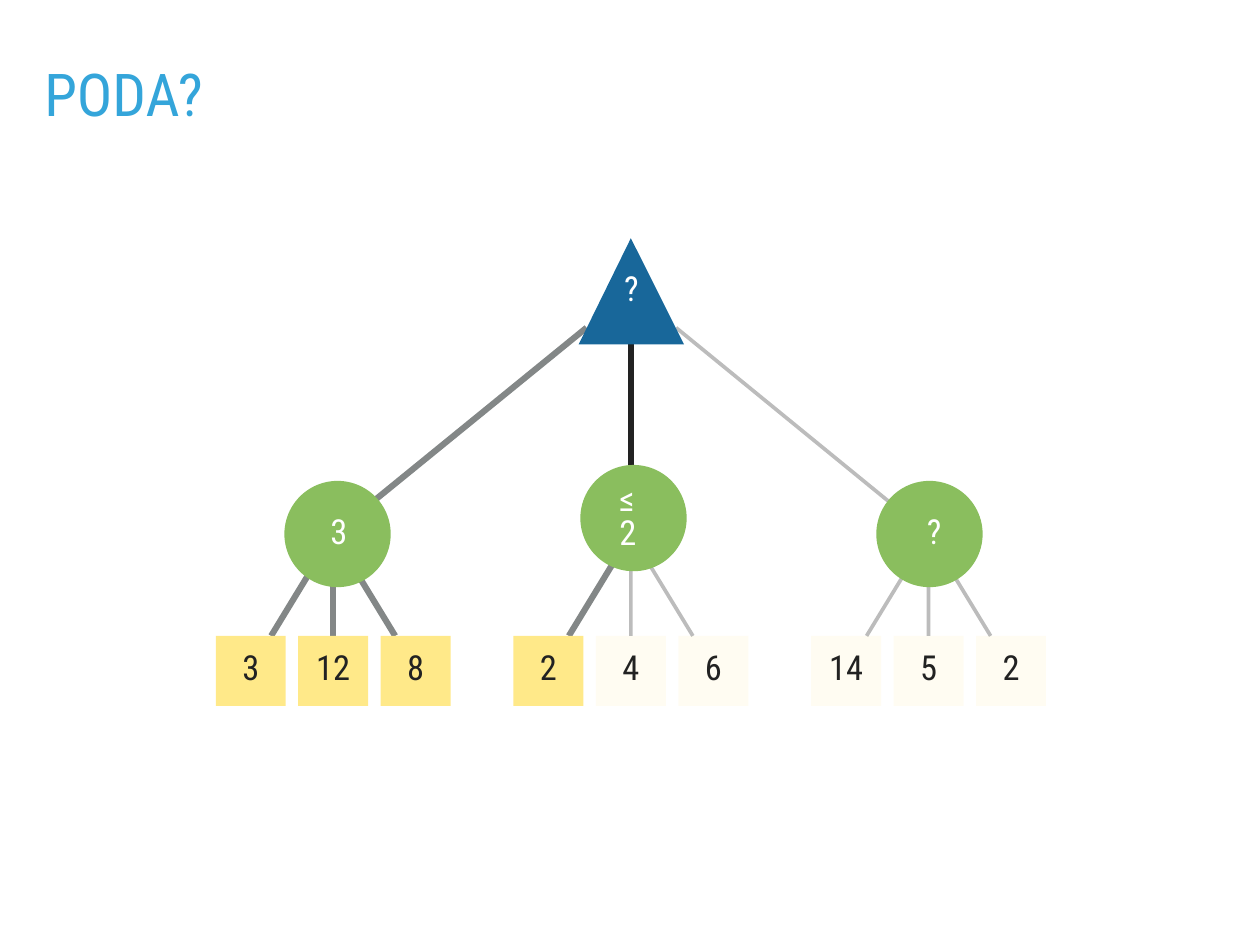
"""Build the slide with a game tree that is partly pruned."""
from pptx import Presentation
from pptx.dml.color import RGBColor as RGB
from pptx.enum.shapes import MSO_CONNECTOR as LINK, MSO_SHAPE as KIND
from pptx.enum.text import MSO_ANCHOR as ANCHOR, PP_ALIGN as ALIGN
from pptx.oxml.ns import qn
from pptx.util import Inches as In, Pt
from lxml.etree import SubElement as Sub

INK, GREY, WHITE = "222222", "838787", "FFFFFF"
BLUE, SKY, GREEN, GOLD = "18679A", "34A5DA", "8ABE5E", "FFE989"
STRONG, DONE, FAINT = (INK, 5, 100), (GREY, 5, 100), (INK, 3, 30)


def paint(fill, tone, alpha=100):
    fill.solid()
    fill.fore_color.rgb = RGB.from_string(tone)
    if alpha < 100:
        tint = fill._xPr.find(qn("a:solidFill"))[0]
        Sub(tint, qn("a:alpha"), val=str(alpha * 1000))


def write(shape, text, tone, size=28, align=ALIGN.CENTER, anchor=ANCHOR.MIDDLE):
    frame = shape.text_frame
    pad = In(0.06)
    form = {"word_wrap": True, "vertical_anchor": anchor, "margin_left": pad,
            "margin_right": pad, "margin_top": pad, "margin_bottom": pad}
    for name, value in form.items():
        setattr(frame, name, value)
    para = frame.paragraphs[0]
    para.alignment, para.line_spacing = align, 0.8
    run = para.add_run()
    run.text = text
    for name, value in {"name": "Roboto Condensed", "size": Pt(size)}.items():
        setattr(run.font, name, value)
    paint(run.font.fill, tone)


deck = Presentation()
deck.slide_width, deck.slide_height = In(14.22), In(10.67)
slide = deck.slides.add_slide(deck.slide_layouts[6])
shapes = slide.shapes

title = shapes.add_textbox(In(0.44), In(0.74), In(13.33), In(0.79))
write(title, "PODA?", SKY, 48, ALIGN.LEFT, ANCHOR.TOP)

first, pitch, hub, row = 3.76, 3.36, 6.03, 7.18
ball, box, step, fan = 1.2, 0.79, 0.93, 0.7

tree = [
    ("3", 5.43, 3.67, 0.27, DONE, (6.62, 3.7), ["3", "12", "8"], [DONE] * 3),
    ("≤2", 5.25, 6.93, 0.43, STRONG, (7.12, 3.89), ["2", "4", "6"], [DONE, FAINT, FAINT]),
    ("?", 5.43, 10.4, 0.27, FAINT, (7.63, 3.7), ["14", "5", "2"], [FAINT] * 3),
]

for col, (mark, top, left, wide, stem, tip, leaves, twigs) in enumerate(tree):
    mid = first + col * pitch
    ends = [(tip, stem)]
    ends += [((mid + (i - 1) * fan, row), twig) for i, twig in enumerate(twigs)]
    lines = []
    for (x, y), (tone, width, alpha) in ends:
        line = shapes.add_connector(LINK.STRAIGHT, In(mid), In(hub), In(x), In(y))
        line.line.width = Pt(width)
        paint(line.line.fill, tone, alpha)
        Sub(line._element.spPr, qn("a:effectLst"))
        lines.append(line)

    node = shapes.add_shape(KIND.OVAL, In(3.21 + col * 3.34), In(top), In(ball), In(ball))
    node.shadow.inherit = False
    node.line.fill.background()
    paint(node.fill, GREEN)
    label = shapes.add_textbox(In(left), In(top + 0.35), In(wide), In(0.51))
    write(label, mark, WHITE, align=ALIGN.LEFT)

    for i, (leaf, twig) in enumerate(zip(leaves, twigs)):
        x = mid + (i - 1) * step - box / 2
        cell = shapes.add_shape(KIND.RECTANGLE, In(x), In(row), In(box), In(box))
        cell.shadow.inherit = False
        cell.line.fill.background()
        paint(cell.fill, GOLD, 10 if twig == FAINT else 100)
        write(cell, leaf, INK)
        if i == 1:
            lines[2].end_connect(cell, 0)

path = shapes.build_freeform(In(7.12), In(2.69))
path.add_line_segments([(In(7.72), In(3.89)), (In(6.53), In(3.89))], close=True)
root = path.convert_to_shape()
root.shadow.inherit = False
root.line.fill.background()
paint(root.fill, BLUE)
write(root, "?", WHITE)

deck.save("out.pptx")
